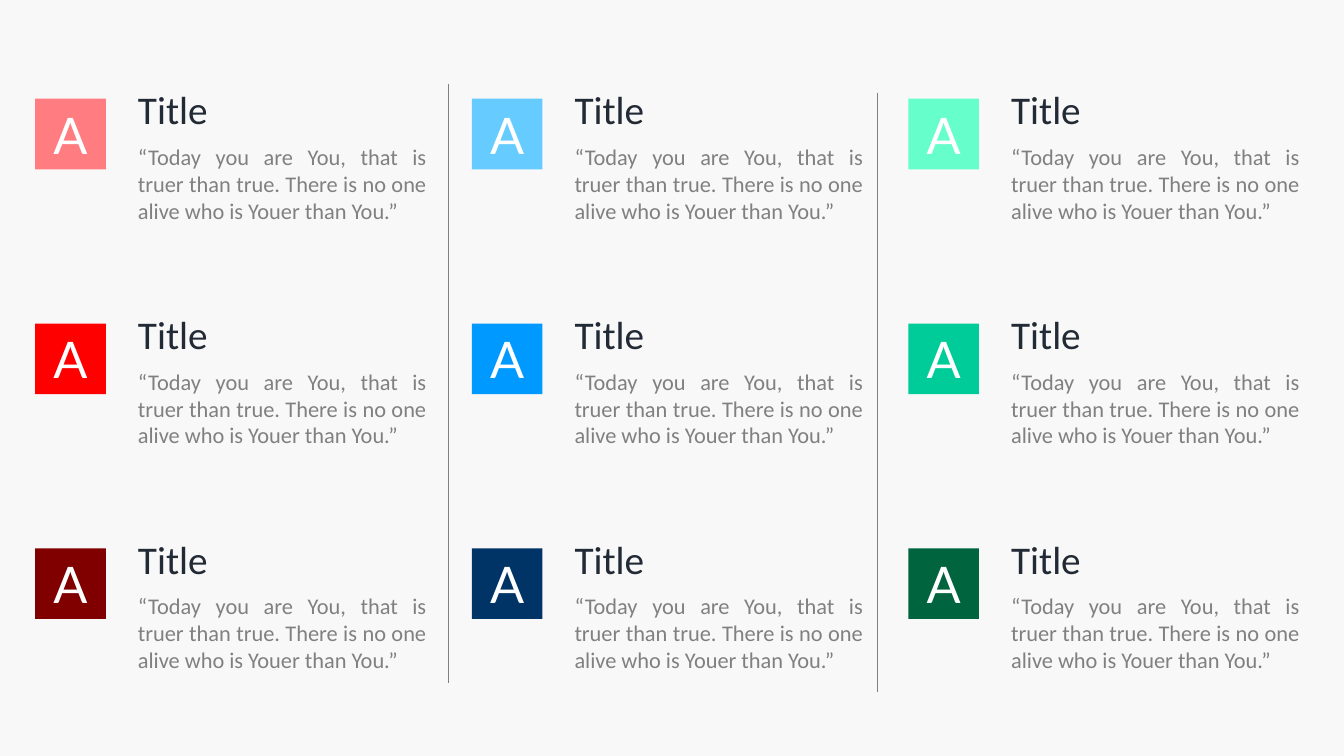
from dataclasses import dataclass

from lxml.etree import SubElement
from pptx import Presentation
from pptx.dml.color import RGBColor
from pptx.enum.shapes import MSO_CONNECTOR, MSO_SHAPE
from pptx.enum.text import MSO_ANCHOR, MSO_AUTO_SIZE, PP_ALIGN
from pptx.oxml.ns import qn
from pptx.slide import Slide
from pptx.text.text import TextFrame
from pptx.util import Inches, Pt

BACKGROUND = RGBColor(0xF8, 0xF8, 0xF8)
WHITE = RGBColor(0xFF, 0xFF, 0xFF)
NAVY = RGBColor(0x22, 0x2A, 0x35)
GRAY = RGBColor(0x80, 0x80, 0x80)
PINK = RGBColor(0xFF, 0x7C, 0x80)
RED = RGBColor(0xFF, 0x00, 0x00)
MAROON = RGBColor(0x80, 0x00, 0x00)
SKY = RGBColor(0x66, 0xCC, 0xFF)
BLUE = RGBColor(0x00, 0x99, 0xFF)
DEEP_BLUE = RGBColor(0x00, 0x33, 0x66)
MINT = RGBColor(0x66, 0xFF, 0xCC)
GREEN = RGBColor(0x00, 0xCC, 0x99)
FOREST = RGBColor(0x00, 0x64, 0x3E)

BADGE_COLORS = [
    [PINK, SKY, MINT],
    [RED, BLUE, GREEN],
    [MAROON, DEEP_BLUE, FOREST],
]
LEFT, TOP = 0.35, 0.98
COLUMN_PITCH, ROW_PITCH = 4.33, 2.23
BADGE_SIZE = 0.7
TEXT_OFFSET = 0.92
HEADING = "Title"
QUOTE = (
    "“Today you are You, that is truer than true. "
    "There is no one alive who is Youer than You.”"
)


@dataclass(frozen=True)
class Card:
    left: float
    top: float
    color: RGBColor


@dataclass(frozen=True)
class Divider:
    x: float
    top: float
    height: float = 5.95


DIVIDERS = [Divider(4.45, 0.83), Divider(8.7, 0.92)]


def write(tf: TextFrame, text: str, font: str, size: int,
          color: RGBColor, align: PP_ALIGN) -> None:
    tf.text = text
    p = tf.paragraphs[0]
    p.alignment = align
    r = p.runs[0]
    r.font.name = font
    r.font.size = Pt(size)
    r.font.color.rgb = color


def add_badge(slide: Slide, card: Card) -> None:
    sp = slide.shapes.add_shape(
        MSO_SHAPE.RECTANGLE, Inches(card.left), Inches(card.top),
        Inches(BADGE_SIZE), Inches(BADGE_SIZE))
    sp.shadow.inherit = False
    sp.fill.solid()
    sp.fill.fore_color.rgb = card.color
    sp.line.fill.background()
    tf = sp.text_frame
    tf.vertical_anchor = MSO_ANCHOR.MIDDLE
    tf.margin_left = tf.margin_right = Inches(0.13)
    tf.margin_top = tf.margin_bottom = Inches(0.07)
    write(tf, "A", "Lato", 36, WHITE, PP_ALIGN.CENTER)


def add_text(slide: Slide, left: float, top: float, width: float,
             height: float, wrap: bool) -> TextFrame:
    sp = slide.shapes.add_textbox(
        Inches(left), Inches(top), Inches(width), Inches(height))
    tf = sp.text_frame
    tf.word_wrap = wrap
    tf.auto_size = MSO_AUTO_SIZE.SHAPE_TO_FIT_TEXT
    return tf


def add_card(slide: Slide, card: Card) -> None:
    add_badge(slide, card)
    left = card.left + TEXT_OFFSET
    heading = add_text(slide, left, card.top - 0.18, 0.99, 0.57, False)
    write(heading, HEADING, "Calibri", 28, NAVY, PP_ALIGN.LEFT)
    quote = add_text(slide, left, card.top + 0.39, 3.06, 0.91, True)
    write(quote, QUOTE, "Calibri", 16, GRAY, PP_ALIGN.JUSTIFY)


def add_divider(slide: Slide, divider: Divider) -> None:
    line = slide.shapes.add_connector(
        MSO_CONNECTOR.STRAIGHT, Inches(divider.x), Inches(divider.top),
        Inches(divider.x), Inches(divider.top + divider.height))
    line.line.color.rgb = GRAY
    line.line.width = Pt(0.5)
    SubElement(line._element.spPr, qn("a:effectLst"))


def main() -> None:
    prs = Presentation()
    prs.slide_width = Inches(13.33)
    prs.slide_height = Inches(7.5)
    slide = prs.slides.add_slide(prs.slide_layouts[6])
    slide.background.fill.solid()
    slide.background.fill.fore_color.rgb = BACKGROUND

    for row, colors in enumerate(BADGE_COLORS):
        for column, color in enumerate(colors):
            add_card(slide, Card(LEFT + column * COLUMN_PITCH,
                                 TOP + row * ROW_PITCH, color))
    for divider in DIVIDERS:
        add_divider(slide, divider)

    prs.save("out.pptx")


if __name__ == "__main__":
    main()
